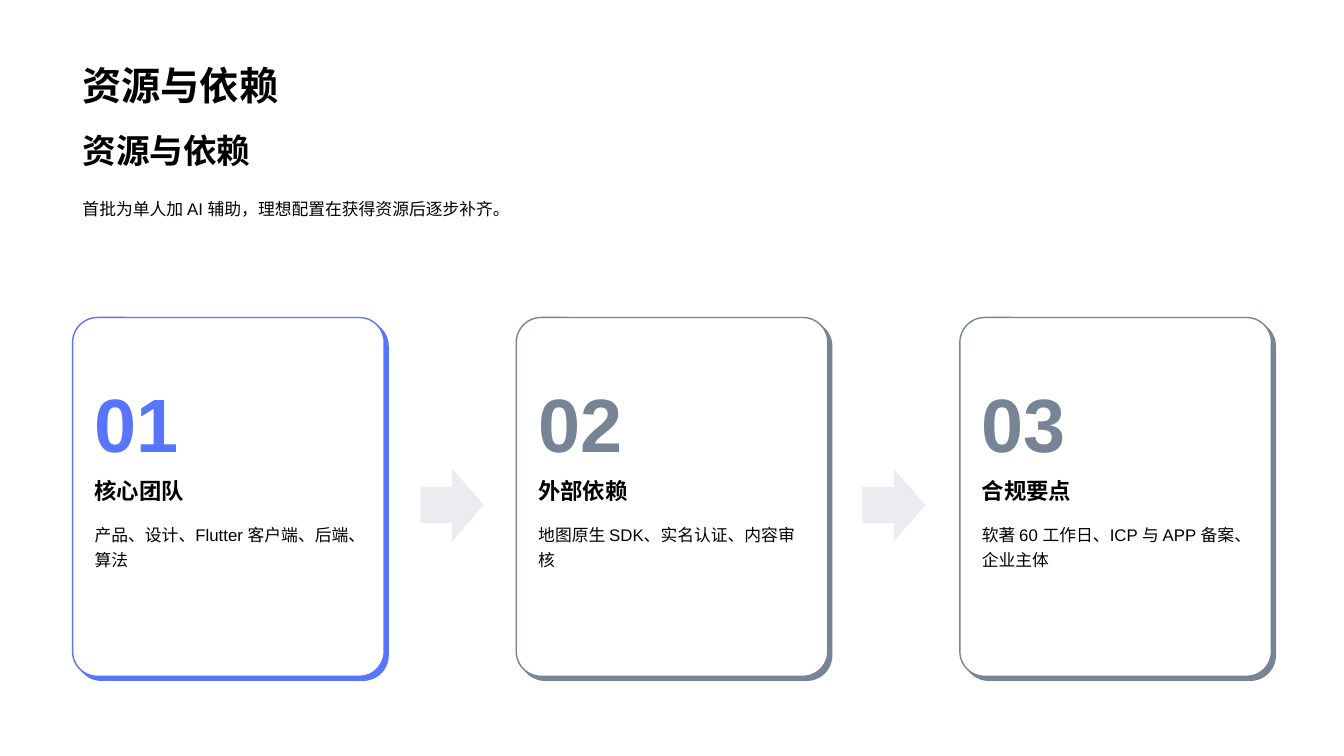
from lxml.etree import SubElement
from pptx import Presentation
from pptx.dml.color import RGBColor
from pptx.enum.shapes import MSO_SHAPE
from pptx.enum.text import MSO_ANCHOR, PP_ALIGN
from pptx.oxml.ns import qn
from pptx.util import Inches, Pt

BLACK, WHITE, BLUE, GREY = "000000", "FFFFFF", "5775FF", "778495"
STYLES = {
    "title": {"size": Pt(28), "bold": True},
    "subtitle": {"size": Pt(24), "bold": True},
    "number": {"size": Pt(54), "bold": True},
    "heading": {"size": Pt(16), "bold": True},
    "body": {"size": Pt(12), "bold": False},
}
RESOURCES = [
    ("核心团队", "产品、设计、Flutter 客户端、后端、算法", BLUE),
    ("外部依赖", "地图原生 SDK、实名认证、内容审核", GREY),
    ("合规要点", "软著 60 工作日、ICP 与 APP 备案、企业主体", GREY),
]


def rgb(value):
    """Turn a hex string into a colour."""
    return RGBColor.from_string(value)


def add_text(slide, box, words, style, color=BLACK, anchor=MSO_ANCHOR.TOP):
    """Write one paragraph in a text box with a named style."""
    frame = slide.shapes.add_textbox(*map(Inches, box)).text_frame
    frame.word_wrap = True
    frame.vertical_anchor = anchor
    paragraph = frame.paragraphs[0]
    paragraph.text = words
    paragraph.alignment = PP_ALIGN.LEFT
    if style == "body":
        paragraph.line_spacing = 1.2
    font = paragraph.runs[0].font
    for name, value in {"name": "Arial", **STYLES[style]}.items():
        setattr(font, name, value)
    font.color.rgb = rgb(color)


def add_effect(parent, tag, color, alpha, **attributes):
    """Append an effect element holding a colour with an opacity in percent."""
    effect = SubElement(parent, qn(tag), **attributes)
    tone = SubElement(effect, qn("a:srgbClr"), val=color)
    SubElement(tone, qn("a:alpha"), val=str(alpha * 1000))


def add_header(slide, box):
    """Place the title, the subtitle and the introduction."""
    left, top, width, height = box
    add_text(slide, (left, top, width, 1.12), "资源与依赖", "title", anchor=MSO_ANCHOR.BOTTOM)
    add_text(slide, (left, top + 1.24, 10.43, 0.5), "资源与依赖", "subtitle")
    add_text(slide, (left, top + 1.88, 10.43, height - 1.88),
             "首批为单人加 AI 辅助，理想配置在获得资源后逐步补齐。", "body")


def add_card(slide, box, number, heading, details, color):
    """Place a numbered card with a hard offset shadow."""
    left, top, width, height = box
    card = slide.shapes.add_shape(MSO_SHAPE.ROUNDED_RECTANGLE, *map(Inches, box))
    card.adjustments[0] = 0.08
    card.fill.solid()
    card.fill.fore_color.rgb = rgb(WHITE)
    card.line.color.rgb = rgb(color)
    card.line.width = Pt(1)
    card.shadow.inherit = False
    add_effect(card.element.spPr.find(qn("a:effectLst")), "a:outerShdw", color, 100,
               blurRad="0", dist=str(Pt(4)), dir="2700000", algn="tl", rotWithShape="0")
    inner = left + 0.12
    add_text(slide, (inner, top + 0.53, 1.04, 1.01), f"{number:02d}", "number", color,
             MSO_ANCHOR.MIDDLE)
    add_text(slide, (inner, top + 1.5, 2.19, 0.4), heading, "heading", anchor=MSO_ANCHOR.BOTTOM)
    add_text(slide, (inner, top + 1.97, width - 0.23, 0.32), details, "body")


def add_arrow(slide, box):
    """Place a pale arrow between two cards."""
    arrow = slide.shapes.add_shape(MSO_SHAPE.RIGHT_ARROW, *map(Inches, box))
    arrow.fill.solid()
    arrow.fill.fore_color.rgb = rgb(GREY)
    tone = arrow.element.spPr.find(qn("a:solidFill")).find(qn("a:srgbClr"))
    SubElement(tone, qn("a:alpha"), val="15000")
    arrow.line.fill.background()
    arrow.shadow.inherit = False


def add_resources(slide, box):
    """Spread the cards over the box and join them with arrows."""
    left, top, width, height = box
    card_width = 3.09
    pitch = (width - card_width) / (len(RESOURCES) - 1)
    for index, (heading, details, color) in enumerate(RESOURCES):
        card_box = (left + index * pitch, top, card_width, height)
        add_card(slide, card_box, index + 1, heading, details, color)
    for index in range(len(RESOURCES) - 1):
        add_arrow(slide, (left + 3.45 + index * 4.38, top + 1.5, 0.63, 0.72))


def main():
    """Build the slide and save it."""
    deck = Presentation()
    deck.slide_width, deck.slide_height = Inches(13.33), Inches(7.5)
    slide = deck.slides.add_slide(deck.slide_layouts[6])
    add_header(slide, (0.72, 0, 11.88, 2.2))
    add_resources(slide, (0.72, 3.15, 11.89, 3.56))
    deck.save("out.pptx")


if __name__ == "__main__":
    main()
